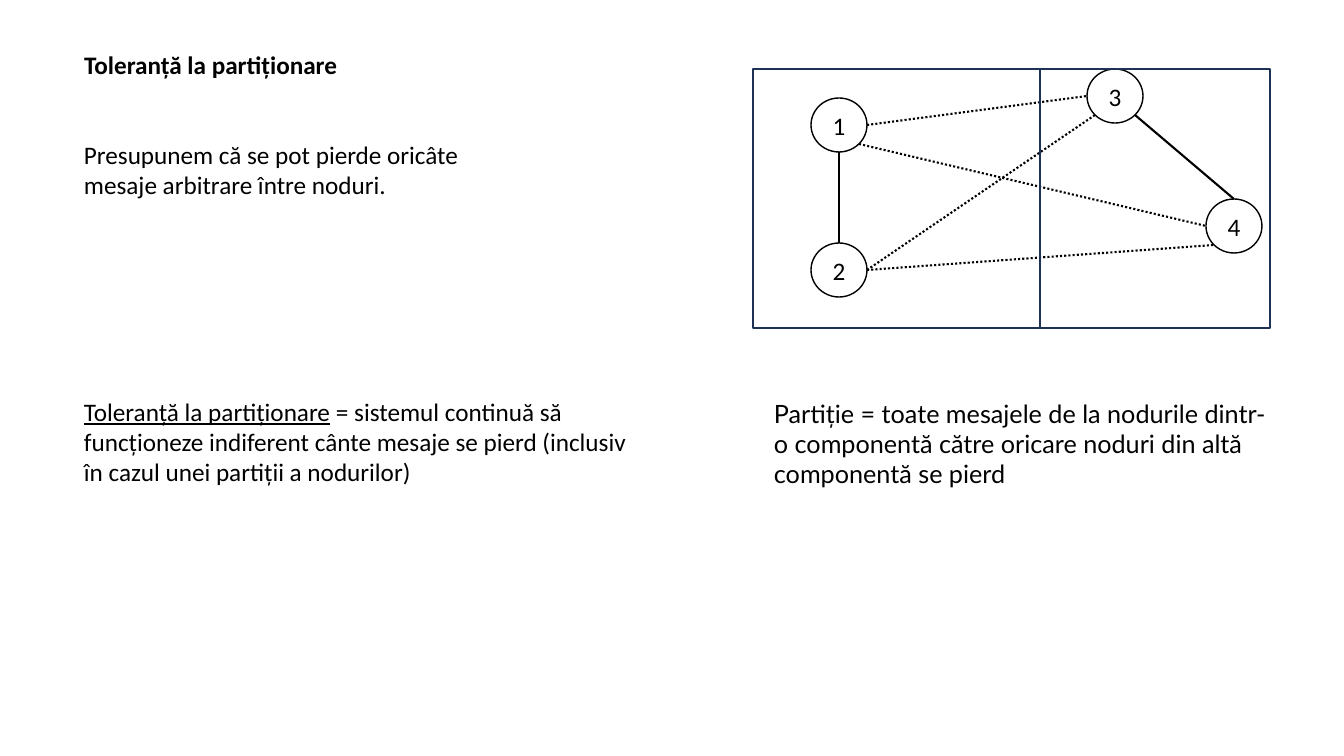
from math import cos, radians, sin

from lxml.etree import SubElement
from pptx import Presentation
from pptx.dml.color import RGBColor
from pptx.enum.dml import MSO_LINE_DASH_STYLE as Dash
from pptx.enum.shapes import MSO_CONNECTOR as Connector, MSO_SHAPE as Shape
from pptx.enum.text import MSO_ANCHOR as Anchor, MSO_AUTO_SIZE as AutoSize, PP_ALIGN as Align
from pptx.oxml.ns import qn
from pptx.util import Emu, Pt

COLORS = {"ink": "000000", "frame": "1E3256"}
PX_PER_INCH = 100.8
PAGE_SIZE = (1344, 756)
NODE_SIZE = (56, 54)

# Clockwise angles of the points where links meet a node
ANGLES = {"right": 0, "bottom right": 45, "bottom": 90, "bottom left": 135,
          "left": 180, "top": 270}


def px(length):
    return Emu(round(length * 914400 / PX_PER_INCH))


def color(name):
    return RGBColor.from_string(COLORS[name])


class SlideBuilder:
    def __init__(self, page, font="Calibri", size=18):
        self.page = page
        self.font = font
        self.size = size

    def style(self, para, font=None, bold=False):
        for span in para.runs:
            span.font.name = font or self.font
            span.font.size = Pt(self.size)
            span.font.bold = bold
            span.font.color.rgb = color("ink")

    def place(self, box, left, top, width, height):
        box.left, box.top, box.width, box.height = map(px, (left, top, width, height))

    def title(self, text, *bounds):
        box = self.page.shapes.title
        self.place(box, *bounds)
        frame = box.text_frame
        frame.text = text
        frame.word_wrap = True
        frame.auto_size = AutoSize.SHAPE_TO_FIT_TEXT
        frame.vertical_anchor = Anchor.TOP
        frame.paragraphs[0].alignment = Align.LEFT
        self.style(frame.paragraphs[0], bold=True)

    def text(self, text, *bounds, font=None, term=""):
        box = self.page.shapes.add_textbox(*map(px, bounds))
        frame = box.text_frame
        frame.word_wrap = True
        frame.auto_size = AutoSize.SHAPE_TO_FIT_TEXT
        para = frame.paragraphs[0]
        if term:
            span = para.add_run()
            span.text = term
            span.font.underline = True
        para.add_run().text = text
        self.style(para, font)

    def outline(self, kind, line_color, *bounds):
        shape = self.page.shapes.add_shape(kind, *map(px, bounds))
        shape.shadow.inherit = False
        shape.fill.background()
        shape.line.color.rgb = color(line_color)
        shape.line.width = Pt(1)
        return shape

    def node(self, label, x, y):
        width, height = NODE_SIZE
        circle = self.outline(Shape.OVAL, "ink", x - width / 2, y - height / 2, width, height)
        frame = circle.text_frame
        frame.margin_left = frame.margin_right = frame.margin_top = frame.margin_bottom = 0
        frame.word_wrap = False
        frame.vertical_anchor = Anchor.MIDDLE
        frame.text = label
        frame.paragraphs[0].alignment = Align.CENTER
        self.style(frame.paragraphs[0])

    def link(self, start, end, dotted):
        line = self.page.shapes.add_connector(Connector.STRAIGHT, *map(px, start + end))
        line.line.color.rgb = color("ink")
        line.line.width = Pt(1.5)
        if dotted:
            line.line.dash_style = Dash.ROUND_DOT
        SubElement(line._element.spPr, qn("a:effectLst"))


def edge_point(center, side):
    angle = radians(ANGLES[side])
    width, height = NODE_SIZE
    return (round(center[0] + width / 2 * cos(angle)),
            round(center[1] + height / 2 * sin(angle)))


def main():
    deck = Presentation()
    deck.slide_width, deck.slide_height = map(px, PAGE_SIZE)
    slide = SlideBuilder(deck.slides.add_slide(deck.slide_layouts[5]))

    # Title and assumption
    slide.title("Toleranță la partiționare", 74, 44, 737, 40)
    slide.text("Presupunem că se pot pierde oricâte mesaje arbitrare între noduri.",
               74, 134, 473, 71)

    # Network nodes
    nodes = {"1": (839, 125), "2": (839, 270), "3": (1115, 96), "4": (1234, 226)}
    for label, center in nodes.items():
        slide.node(label, *center)

    # Links: solid inside a component, dotted where messages are lost
    links = [
        ("1", "bottom", "2", "top", False),
        ("1", "right", "3", "left", True),
        ("1", "bottom right", "4", "left", True),
        ("3", "bottom right", "4", "top", False),
        ("2", "right", "3", "bottom left", True),
        ("2", "right", "4", "bottom left", True),
    ]
    for start, start_side, end, end_side, dotted in links:
        slide.link(edge_point(nodes[start], start_side), edge_point(nodes[end], end_side), dotted)

    # Frames of the two components
    slide.outline(Shape.RECTANGLE, "frame", 753, 69, 287, 259)
    slide.outline(Shape.RECTANGLE, "frame", 1040, 69, 230, 259)

    # Definitions
    slide.text("Partiție = toate mesajele de la nodurile dintr-o componentă către oricare "
               "noduri din altă componentă se pierd", 764, 393, 518, 102, font="Lato")
    slide.text(" = sistemul continuă să funcționeze indiferent cânte mesaje se pierd "
               "(inclusiv în cazul unei partiții a nodurilor)", 74, 391, 574, 102,
               term="Toleranță la partiționare")

    deck.save("out.pptx")


if __name__ == "__main__":
    main()
